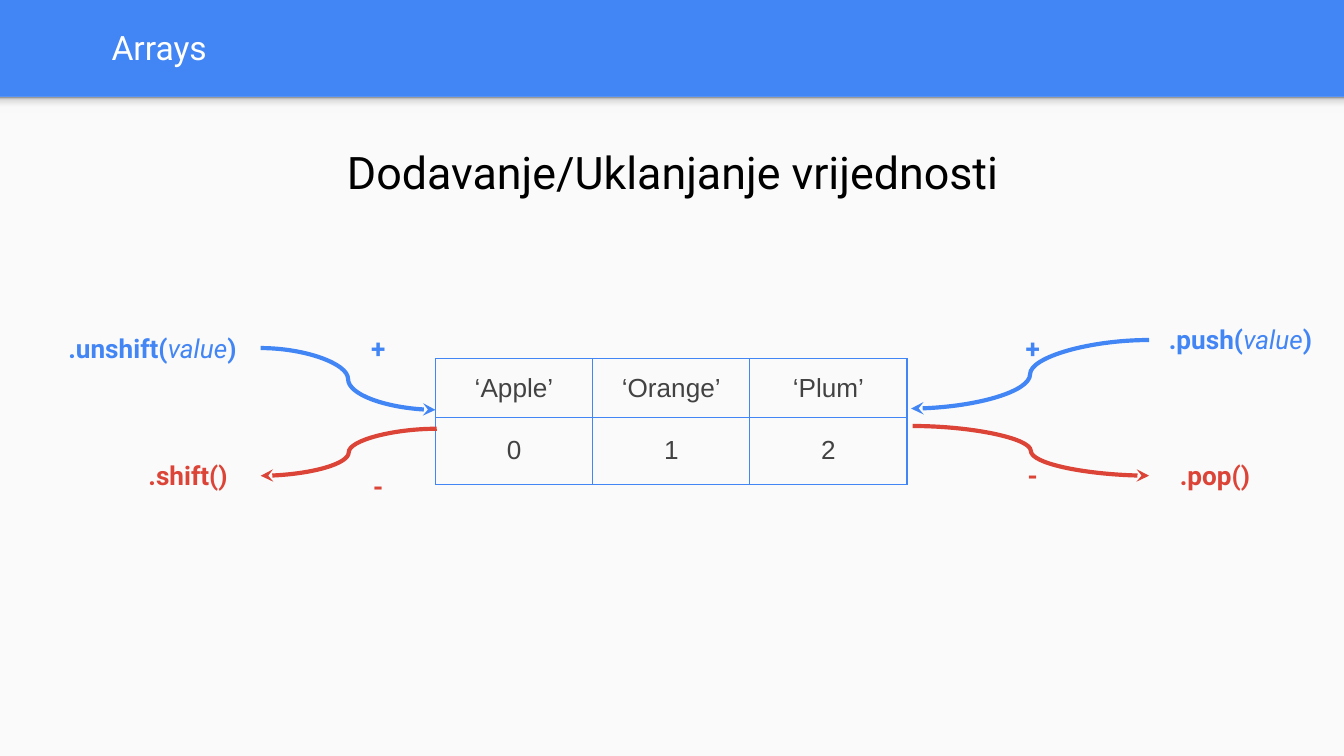
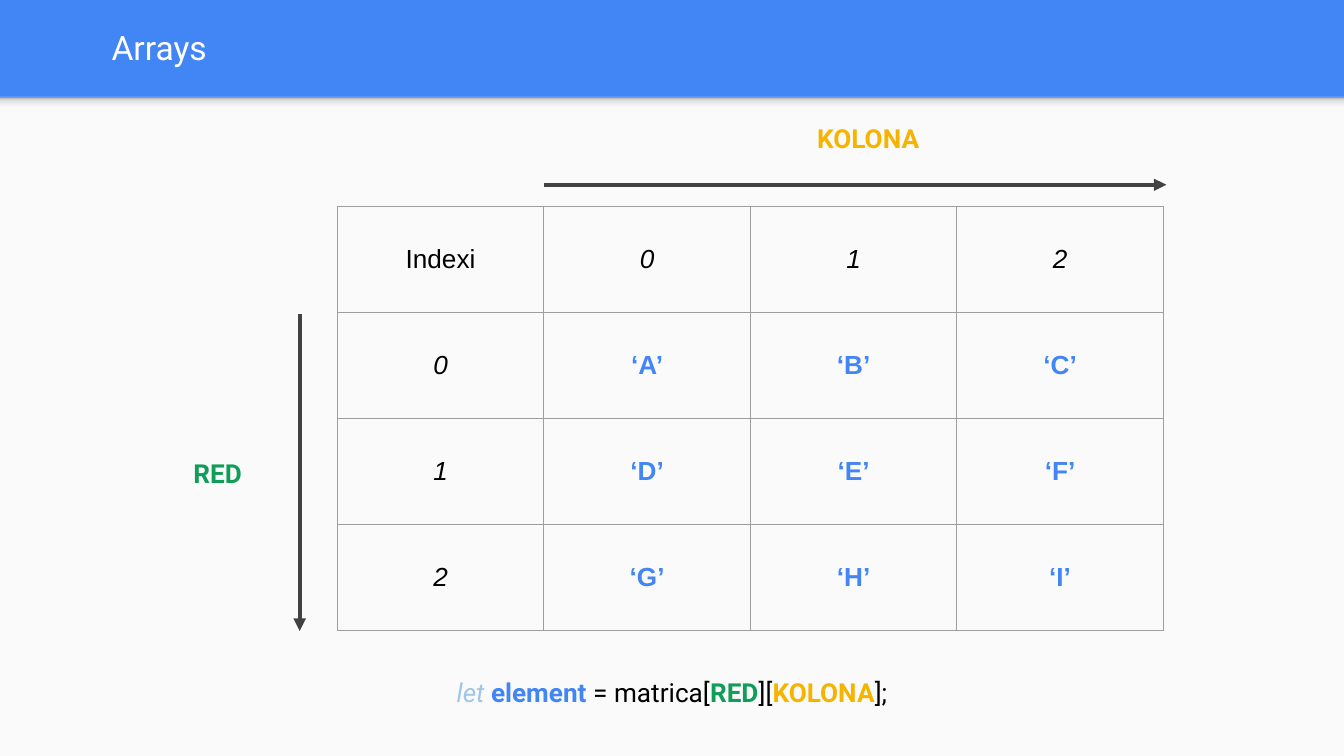
from dataclasses import dataclass

from lxml import etree
from pptx import Presentation
from pptx.dml.color import RGBColor as RGB
from pptx.enum.shapes import MSO_CONNECTOR as LINE, MSO_SHAPE as SHAPE
from pptx.enum.text import MSO_ANCHOR as ANCHOR, MSO_AUTO_SIZE as FIT, PP_ALIGN as ALIGN
from pptx.oxml.ns import qn
from pptx.util import Inches, Pt


@dataclass(frozen=True)
class Theme:
    blue: str = "4285F4"
    red: str = "DB4437"
    green: str = "0F9D58"
    yellow: str = "F4B400"
    pale: str = "9FC5E8"
    paper: str = "FAFAFA"
    white: str = "FFFFFF"
    black: str = "000000"
    ink: str = "424242"
    grid: str = "9E9E9E"
    shade: tuple = ((0, "F9F9F9"), (36, "F9F9F9"), (80, "DEDEDE"), (100, "999999"))
    font: str = "Roboto"
    table_font: str = "Arial"
    title: int = 18
    heading: int = 24
    body: int = 14
    rule: float = 0.75
    arrow: float = 2.25


T = Theme()
UNIT = 0.1  # side of one square grid cell, in inches


@dataclass(frozen=True)
class Box:
    """An area measured in grid columns and rows."""
    x: float
    y: float
    w: float
    h: float

    def at(self, col, row, cols=0, rows=0):
        return Box(self.x + col, self.y + row, cols, rows)

    def emu(self):
        return [Inches(v * UNIT) for v in (self.x, self.y, self.w, self.h)]


PAGE = Box(0, 0, 100, 56.25)
BODY = PAGE.at(0, 7.2, 100, 49.05)


# Text, lines and tables
def write(tf, runs, size=T.body, font=T.font, align=ALIGN.CENTER):
    """Fill a frame with one paragraph; a run is (text, colour, style letters)."""
    p = tf.paragraphs[0]
    p.alignment = align
    p.font.name, p.font.size = font, Pt(size)
    for text, color, style in runs:
        r = p.add_run()
        r.text = text
        r.font.color.rgb = RGB.from_string(color)
        r.font.bold, r.font.italic = "b" in style, "i" in style


def add_label(s, box, runs, size=T.body):
    tf = s.shapes.add_textbox(*box.emu()).text_frame
    tf.word_wrap = True
    tf.auto_size = FIT.SHAPE_TO_FIT_TEXT
    tf.margin_top = tf.margin_bottom = Inches(0.1)
    write(tf, runs, size)


def add_arrow(s, start, end, color, kind=LINE.STRAIGHT, head="triangle"):
    line = s.shapes.add_connector(kind, *start.emu()[:2], *end.emu()[:2])
    line.line.color.rgb = RGB.from_string(color)
    line.line.width = Pt(T.arrow)
    sp = line._element.spPr
    etree.SubElement(sp.find(qn("a:ln")), qn("a:tailEnd"), type=head)
    etree.SubElement(sp, qn("a:effectLst"))


def add_borders(cell, color):
    tc = cell._tc.get_or_add_tcPr()
    for i, side in enumerate("LRTB"):
        ln = etree.Element(qn(f"a:ln{side}"), w=str(Pt(T.rule)))
        fill = etree.SubElement(ln, qn("a:solidFill"))
        etree.SubElement(fill, qn("a:srgbClr"), val=color)
        tc.insert(i, ln)


def add_grid(s, box, rows, heights, border, look):
    """Draw a table; look(row, col) gives a cell's colour and style."""
    table = s.shapes.add_table(len(rows), len(rows[0]), *box.emu()).table
    table.first_row = table.horz_banding = False
    for col in table.columns:
        col.width = Inches(box.w * UNIT / len(rows[0]))
    for i, (values, height) in enumerate(zip(rows, heights)):
        table.rows[i].height = Inches(height * UNIT)
        for j, text in enumerate(values):
            cell = table.cell(i, j)
            cell.fill.background()
            add_borders(cell, border)
            cell.vertical_anchor = ANCHOR.MIDDLE
            cell.margin_left = cell.margin_right = Inches(0.1)
            cell.margin_top = cell.margin_bottom = Inches(0.1)
            write(cell.text_frame, [(text, *look(i, j))], font=T.table_font)


# Shared frame: blue band, paper panel, soft edge and title
def add_panel(s, box):
    sh = s.shapes.add_shape(SHAPE.RECTANGLE, *box.emu())
    sh.shadow.inherit = False
    sh.line.fill.background()
    sh.fill.solid()
    sh.fill.fore_color.rgb = RGB.from_string(T.paper)
    return sh


def add_soft_edge(s, box):
    sp = add_panel(s, box)._element.spPr
    grad = etree.Element(qn("a:gradFill"), rotWithShape="1")
    stops = etree.SubElement(grad, qn("a:gsLst"))
    for pos, color in T.shade:
        gs = etree.SubElement(stops, qn("a:gs"), pos=str(pos * 1000))
        etree.SubElement(gs, qn("a:srgbClr"), val=color)
    etree.SubElement(grad, qn("a:lin"), ang=str(270 * 60000), scaled="0")
    sp.replace(sp.find(qn("a:solidFill")), grad)


def add_titled_slide(prs, title):
    s = prs.slides.add_slide(prs.slide_layouts[5])
    s.background.fill.solid()
    s.background.fill.fore_color.rgb = RGB.from_string(T.blue)
    add_panel(s, BODY)
    add_soft_edge(s, BODY.at(0, 0, BODY.w, 1.2))
    sp = s.shapes.title
    sp.left, sp.top, sp.width, sp.height = PAGE.at(7.3, 0.2, 92.7, 6.6).emu()
    tf = sp.text_frame
    tf.auto_size, tf.vertical_anchor = FIT.NONE, ANCHOR.MIDDLE
    tf.margin_top = tf.margin_bottom = Inches(0.1)
    write(tf, [(title, T.white, "")], T.title, align=ALIGN.LEFT)
    return s


# Slide 1: adding and removing values at both ends
def call(name, arg, color):
    if not arg:
        return [(f"{name}()", color, "b")]
    return [(f"{name}(", color, "b"), (arg, color, "i"), (")", color, "b")]


def draw_operations(s, box):
    add_label(s, box.at(18.4, 2.6, 63.3, 6.1),
              [("Dodavanje/Uklanjanje vrijednosti", T.black, "")], T.heading)
    add_grid(s, box.at(32.4, 19.5, 35.1, 9.3),
             [("‘Apple’", "‘Orange’", "‘Plum’"), "012"], (4.3, 5),
             T.blue, lambda i, j: (T.ink, ""))
    # name, argument, sign, label (col, row, cols), sign (col, row), arrow start and end
    operations = (
        (".unshift", "value", "+", (3.3, 16.5, 16.1), (26, 16.5), (19.4, 18.7), (32.4, 23.3)),
        (".shift", "", "-", (8.6, 26, 10.8), (26, 26.8), (32.5, 24.7), (19.4, 28.2)),
        (".push", "value", "+", (85.5, 15.9, 13.6), (74.7, 16.5), (85.5, 18.1), (67.8, 23.2)),
        (".pop", "", "-", (85.5, 26, 9.8), (74.7, 26), (67.9, 24.5), (85.5, 28.2)),
    )
    for name, arg, sign, label, mark, start, end in operations:
        color = T.blue if sign == "+" else T.red
        add_label(s, box.at(*label, 4.4), call(name, arg, color))
        add_arrow(s, box.at(*start), box.at(*end), color, LINE.CURVE, "stealth")
        add_label(s, box.at(*mark, 4.3, 4.4), [(sign, color, "b")])


# Slide 2: a matrix indexed by row and column
def matrix_look(i, j):
    if i and j:
        return T.blue, "b"
    return T.black, "i" if i or j else ""


def draw_matrix(s, box):
    col, row = 15.37, 7.9
    grid = box.at(25.1, 8.15, 4 * col, 4 * row)
    rows = [("Indexi", *"012")]
    rows += [(str(i), *(f"‘{c}’" for c in letters))
             for i, letters in enumerate(("ABC", "DEF", "GHI"))]
    add_grid(s, grid, rows, [row] * 4, T.grid, matrix_look)
    add_arrow(s, grid.at(-2.8, row + 0.1), grid.at(-2.8, grid.h), T.ink)
    add_arrow(s, grid.at(col, -1.6), grid.at(grid.w + 0.2, -1.6), T.ink)
    red, kolona = ("RED", T.green, "b"), ("KOLONA", T.yellow, "b")
    add_label(s, box.at(12.9, 25.8, 6.6, 4.4), [red])
    add_label(s, box.at(58.4, 0.9, 12.4, 4.4), [kolona])
    add_label(s, box.at(23.2, 42.1, 53.6, 4.4), [
        ("let ", T.pale, "i"), ("element", T.blue, "b"), (" = matrica[", T.black, ""),
        red, ("][", T.black, ""), kolona, ("];", T.black, "")])


def main():
    prs = Presentation()
    prs.slide_width, prs.slide_height = PAGE.emu()[2:]
    for draw in (draw_operations, draw_matrix):
        draw(add_titled_slide(prs, "Arrays"), BODY)
    prs.save("out.pptx")


if __name__ == "__main__":
    main()
